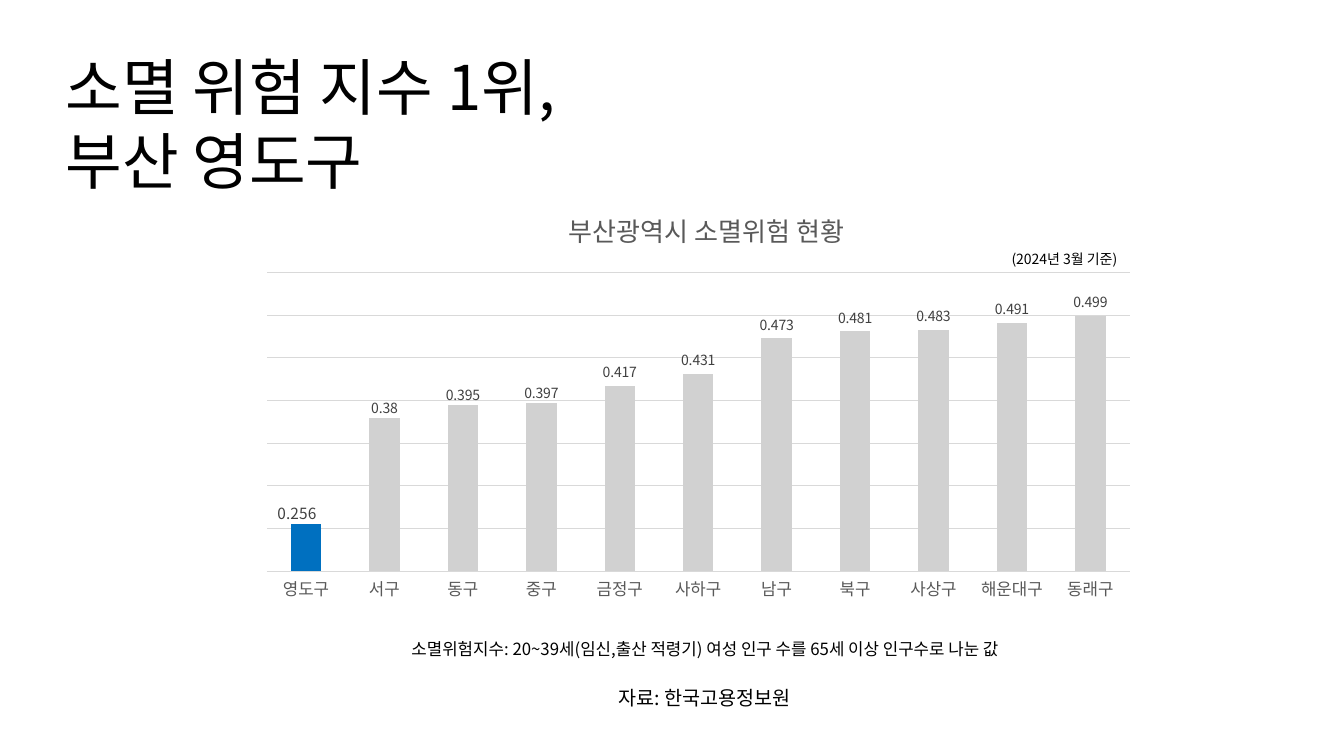
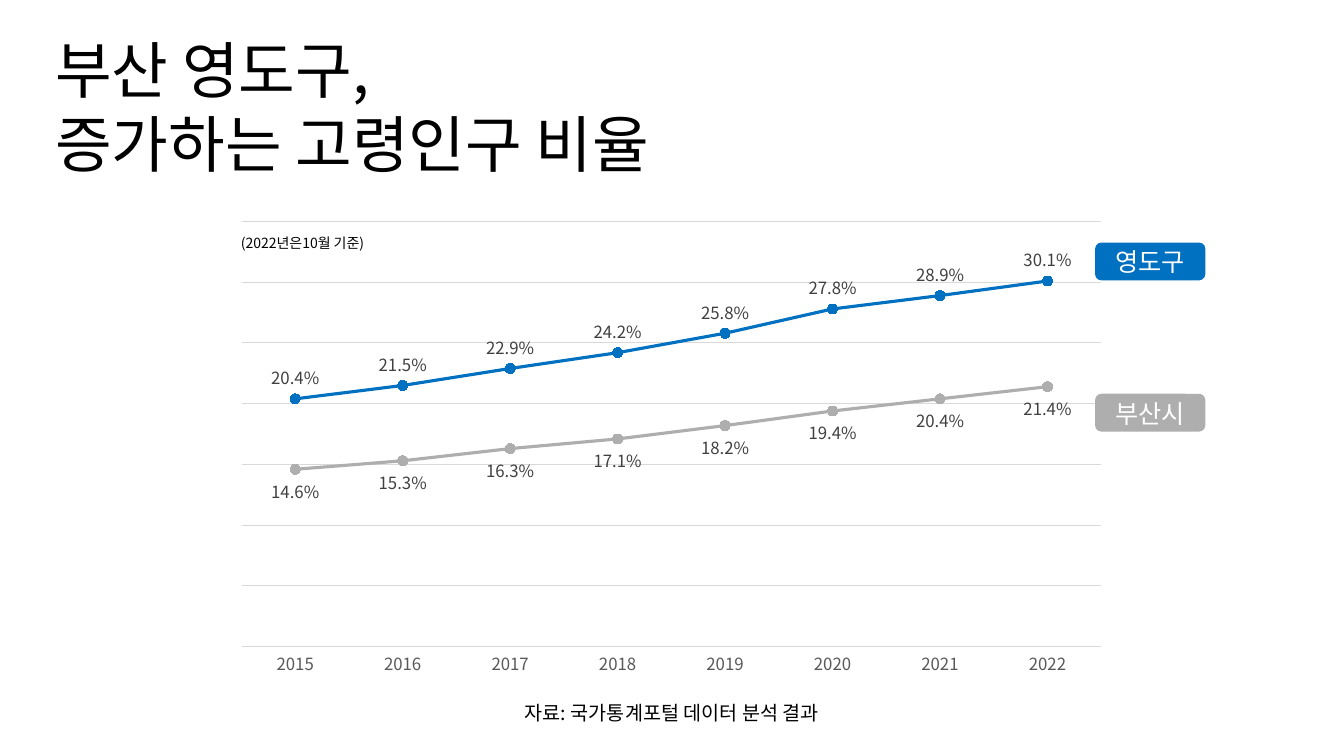
from dataclasses import dataclass

import pptx
import pptx.chart.data
import pptx.dml.color
import pptx.enum.chart
import pptx.enum.shapes
import pptx.enum.text
import pptx.oxml
import pptx.oxml.ns
import pptx.util
from lxml import etree

PX = 9525  # EMU per px, 96 px to the inch
FONT = "Noto Sans CJK KR"
COLORS = {
    "black": "000000", "white": "FFFFFF",
    "blue": "0070C0", "gray": "AEAEAE", "bar": "D1D1D1",
    "grid": "D9D9D9", "axis": "595959", "label": "404040",
}
Pt = pptx.util.Pt
Align = pptx.enum.text.PP_ALIGN
Anchor = pptx.enum.text.MSO_ANCHOR
LabelPos = pptx.enum.chart.XL_LABEL_POSITION
ChartType = pptx.enum.chart.XL_CHART_TYPE
qn = pptx.oxml.ns.qn


@dataclass
class Box:
    x: int
    y: int
    w: int
    h: int

    def emu(self) -> list[int]:
        return [v * PX for v in (self.x, self.y, self.w, self.h)]


@dataclass
class Label:
    text: str
    box: Box
    size: int
    color: str = "black"
    align: Align = Align.CENTER
    anchor: Anchor = Anchor.TOP


@dataclass
class Badge:
    text: str
    y: int
    fill: str


@dataclass
class Line:
    name: str
    values: list[float]
    color: str
    pos: LabelPos


def rgb(name: str) -> pptx.dml.color.RGBColor:
    return pptx.dml.color.RGBColor.from_string(COLORS[name])


# Shared text and shape styles
def set_font(font, size: float, color: str) -> None:
    font.size, font.bold = Pt(size), False
    font.color.rgb = rgb(color)
    font.name = FONT
    etree.SubElement(font._rPr, qn("a:ea")).set("typeface", FONT)


def fill_text(tf, label: Label) -> None:
    tf.word_wrap = True
    tf.vertical_anchor = label.anchor
    p = tf.paragraphs[0]
    p.text = label.text
    p.alignment = label.align
    p.line_spacing = Pt(round(label.size * 1.2))
    set_font(p.font, label.size, label.color)


def add_label(s, label: Label) -> None:
    fill_text(s.shapes.add_textbox(*label.box.emu()).text_frame, label)


def add_title(s, text: str, x: int, y: int) -> None:
    add_label(s, Label(text, Box(x, y, 1104, 154), 44,
                       align=Align.LEFT, anchor=Anchor.MIDDLE))


def add_note(s, text: str, box: Box) -> None:
    add_label(s, Label(text, box, 10, align=Align.LEFT))


def add_source(s, text: str, x: int, y: int) -> None:
    add_label(s, Label(text, Box(x, y, 366, 33), 14))


def add_badge(s, badge: Badge) -> None:
    box = Box(1043, badge.y, 105, 36)
    sp = s.shapes.add_shape(pptx.enum.shapes.MSO_SHAPE.ROUNDED_RECTANGLE, *box.emu())
    sp.shadow.inherit = False
    sp.fill.solid()
    sp.fill.fore_color.rgb = rgb(badge.fill)
    sp.line.fill.background()
    fill_text(sp.text_frame, Label(badge.text, box, 18, "white", anchor=Anchor.MIDDLE))


def add_slide(prs):
    return prs.slides.add_slide(prs.slide_layouts[6])


# Shared chart styles
def set_layout(parent, index: int, inner: bool = False, **place: float) -> None:
    """Put a manual layout into a chart element as its child number index."""
    for old in parent.findall(qn("c:layout")):
        parent.remove(old)
    layout = etree.Element(qn("c:layout"))
    manual = etree.SubElement(layout, qn("c:manualLayout"))
    if inner:
        etree.SubElement(manual, qn("c:layoutTarget")).set("val", "inner")
    if "w" in place or parent.tag == qn("c:title"):
        for mode in ("xMode", "yMode"):
            etree.SubElement(manual, qn("c:" + mode)).set("val", "edge")
    for key, value in place.items():
        etree.SubElement(manual, qn("c:" + key)).set("val", str(value))
    parent.insert(index, layout)


def add_chart(s, kind: ChartType, box: Box, cats: list[str],
              series: list[tuple[str, list[float]]],
              scale: tuple[float, float, float], **plot_place: float):
    data = pptx.chart.data.CategoryChartData()
    data.categories = cats
    for name, values in series:
        data.add_series(name, values)
    chart = s.shapes.add_chart(kind, *box.emu(), data).chart
    set_font(chart.font, 10, "black")
    chart.has_legend = False
    chart.has_title = False
    chart.plots[0].vary_by_categories = False

    cat = chart.category_axis
    cat.major_tick_mark = pptx.enum.chart.XL_TICK_MARK.NONE
    set_font(cat.tick_labels.font, 12, "axis")
    val = chart.value_axis
    val.visible = False
    val.has_major_gridlines = True
    val.minimum_scale, val.maximum_scale, val.major_unit = scale
    for line in (cat.format.line, val.major_gridlines.format.line):
        line.color.rgb = rgb("grid")
        line.width = Pt(0.75)
    set_layout(chart._chartSpace.chart.plotArea, 0, inner=True, **plot_place)
    return chart


def show_values(series, size: int, pos: LabelPos, fmt: str = "General") -> None:
    labels = series.data_labels
    labels.show_value = True
    labels.number_format = fmt
    labels.number_format_is_linked = False
    labels.position = pos
    set_font(labels.font, size, "label")


# Slide 1: extinction risk by district
def build_risk_slide(prs) -> None:
    s = add_slide(prs)
    add_title(s, "소멸 위험 지수 1위,\n부산 영도구", 53, 40)
    add_label(s, Label("소멸위험지수: 20~39세(임신,출산 적령기) 여성 인구 수를 "
                       "65세 이상 인구수로 나눈 값", Box(248, 604, 847, 29), 12))

    districts = {"영도구": 0.256, "서구": 0.38, "동구": 0.395, "중구": 0.397,
                 "금정구": 0.417, "사하구": 0.431, "남구": 0.473, "북구": 0.481,
                 "사상구": 0.483, "해운대구": 0.491, "동래구": 0.499}
    chart = add_chart(s, ChartType.COLUMN_CLUSTERED, Box(237, 194, 856, 385),
                      list(districts), [("Series 1", list(districts.values()))],
                      (0.2, 0.55, 0.05), x=0.02, y=0.17, w=0.96, h=0.74)
    chart.has_title = True
    p = chart.chart_title.text_frame.paragraphs[0]
    p.text = "부산광역시 소멸위험 현황"
    set_font(p.font, 18.6, "axis")
    set_layout(chart.chart_title._element, 1, x=0.35, y=0)

    plot = chart.plots[0]
    plot.gap_width, plot.overlap = 158, 100
    bars = plot.series[0]
    bars.invert_if_negative = False
    for fmt, color in ((bars.format, "bar"), (bars.points[0].format, "blue")):
        fmt.fill.solid()
        fmt.fill.fore_color.rgb = rgb(color)
    show_values(bars, 10, LabelPos.OUTSIDE_END)

    # Labels of the lowest bars sit closer to the bar
    for i in range(4):
        label = bars.points[i].data_label
        set_font(label.font, 10 if i else 11, "label")
        label.position = LabelPos.OUTSIDE_END
        set_layout(label._get_or_add_dLbl(), 1, x=0 if i else -0.01, y=0.01)

    add_note(s, "(2024년 3월 기준)", Box(954, 234, 131, 26))
    add_source(s, "자료: 한국고용정보원", 488, 648)


# Slide 2: share of older residents
def build_ageing_slide(prs) -> None:
    s = add_slide(prs)
    add_title(s, "부산 영도구,\n증가하는 고령인구 비율", 43, 24)

    lines = [
        Line("Series 1", [14.6, 15.3, 16.3, 17.1, 18.2, 19.4, 20.4, 21.4],
             "gray", LabelPos.BELOW),
        Line("Series 2", [20.4, 21.5, 22.9, 24.2, 25.8, 27.8, 28.9, 30.1],
             "blue", LabelPos.ABOVE),
    ]
    chart = add_chart(s, ChartType.LINE_MARKERS, Box(213, 202, 853, 450),
                      [str(year) for year in range(2015, 2023)],
                      [(line.name, line.values) for line in lines],
                      (0, 35, 5), x=0.02, y=0.02, w=0.96, h=0.9)
    for line, series in zip(lines, chart.plots[0].series):
        series.smooth = False
        series.format.line.color.rgb = rgb(line.color)
        series.format.line.width = Pt(2.25)
        marker = series.marker
        marker.style = pptx.enum.chart.XL_MARKER_STYLE.CIRCLE
        marker.size = 7
        marker.format.fill.solid()
        marker.format.fill.fore_color.rgb = rgb(line.color)
        marker.format.line.color.rgb = rgb(line.color)
        show_values(series, 12, line.pos, '#.#"%"')

    add_source(s, "자료: 국가통계포털 데이터 분석 결과", 457, 663)
    add_note(s, "(2022년은10월 기준)", Box(220, 219, 141, 26))
    for badge in (Badge("영도구", 231, "blue"), Badge("부산시", 375, "gray")):
        add_badge(s, badge)


def main() -> None:
    prs = pptx.Presentation()
    prs.slide_width, prs.slide_height = 1280 * PX, 720 * PX
    build_risk_slide(prs)
    build_ageing_slide(prs)
    prs.save("out.pptx")


if __name__ == "__main__":
    main()
